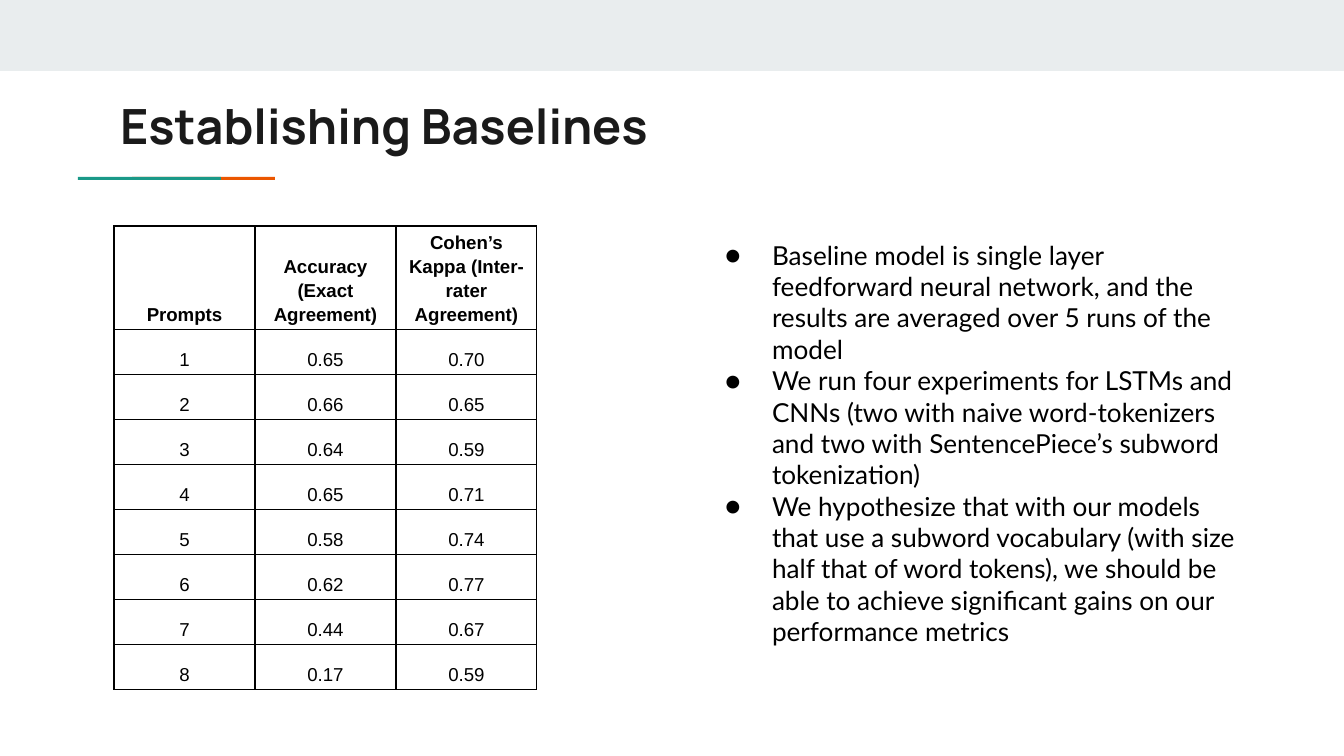
from lxml.etree import SubElement
from pptx import Presentation
from pptx.dml.color import RGBColor
from pptx.enum.shapes import MSO_SHAPE as SHAPE
from pptx.enum.text import MSO_ANCHOR as ANCHOR, MSO_AUTO_SIZE as FIT, PP_ALIGN as ALIGN
from pptx.oxml.ns import qn
from pptx.util import Pt

SCALE = 914400 / 134.4

BLACK = RGBColor(0x00, 0x00, 0x00)
INK = RGBColor(0x1A, 0x1A, 0x1A)
BAND = RGBColor(0xE9, 0xED, 0xEE)
TEAL = RGBColor(0x1A, 0x99, 0x88)
ORANGE = RGBColor(0xEB, 0x56, 0x00)

HEADERS = ("Prompts", "Accuracy (Exact Agreement)", "Cohen’s Kappa (Inter-rater Agreement)")
SCORES = (
    ("0.65", "0.70"),
    ("0.66", "0.65"),
    ("0.64", "0.59"),
    ("0.65", "0.71"),
    ("0.58", "0.74"),
    ("0.62", "0.77"),
    ("0.44", "0.67"),
    ("0.17", "0.59"),
)
BULLETS = (
    "Baseline model is single layer feedforward neural network, and the results "
    "are averaged over 5 runs of the model",
    "We run four experiments for LSTMs and CNNs (two with naive word-tokenizers "
    "and two with SentencePiece’s subword tokenization)",
    "We hypothesize that with our models that use a subword vocabulary (with size "
    "half that of word tokens), we should be able to achieve significant gains on "
    "our performance metrics",
)


def px(n):
    return round(n * SCALE)


TITLE_FONT = {"name": "Manrope", "size": Pt(26), "bold": True}
BODY_FONT = {"name": "Lato", "size": Pt(14), "bold": False}
CELL_FONT = {"name": "Arial", "size": Pt(10)}
TEXT_PARA = {"alignment": ALIGN.LEFT, "space_before": Pt(0), "line_spacing": 1.0}
CELL_PARA = {"alignment": ALIGN.CENTER, "line_spacing": 1.15}
SIDES = ("margin_left", "margin_top", "margin_right", "margin_bottom")
FRAME = {"word_wrap": True, "auto_size": FIT.NONE, "vertical_anchor": ANCHOR.TOP,
         **dict.fromkeys(SIDES, px(13))}
CELL = {"vertical_anchor": ANCHOR.BOTTOM, **dict.fromkeys(SIDES, px(4))}


def apply(obj, fmt):
    for key, value in fmt.items():
        setattr(obj, key, value)


def place(sp, *box):
    apply(sp, dict(zip(("left", "top", "width", "height"), map(px, box))))


def write(p, text, font, color, para):
    apply(p, para)
    r = p.add_run()
    r.text = text
    apply(r.font, font)
    r.font.color.rgb = color


def add_bar(slide, color, *box):
    sp = slide.shapes.add_shape(SHAPE.RECTANGLE, *map(px, box))
    sp.shadow.inherit = False
    sp.fill.solid()
    sp.fill.fore_color.rgb = color
    sp.line.fill.background()


def add_bullet(p):
    pPr = p._p.get_or_add_pPr()
    pPr.set("marL", str(px(67)))
    pPr.set("indent", str(px(-47)))
    clr = SubElement(pPr, qn("a:buClr"))
    SubElement(clr, qn("a:srgbClr"), val=str(BLACK))
    SubElement(pPr, qn("a:buFont"), typeface="Lato")
    SubElement(pPr, qn("a:buChar"), char="●")


def add_borders(cell):
    tcPr = cell._tc.get_or_add_tcPr()
    for i, side in enumerate(("lnL", "lnR", "lnT", "lnB")):
        ln = SubElement(tcPr, qn(f"a:{side}"), w=str(Pt(0.75)))
        fill = SubElement(ln, qn("a:solidFill"))
        SubElement(fill, qn("a:srgbClr"), val=str(BLACK))
        tcPr.insert(i, ln)


def fill_title(slide, text):
    sp = slide.shapes.title
    place(sp, 107, 83, 1130, 79)
    apply(sp.text_frame, FRAME)
    write(sp.text_frame.paragraphs[0], text, TITLE_FONT, INK, TEXT_PARA)


def fill_body(slide, items):
    sp = slide.placeholders[1]
    place(sp, 692, 226, 568, 443)
    tf = sp.text_frame
    apply(tf, FRAME)
    for i, text in enumerate(items):
        p = tf.add_paragraph() if i else tf.paragraphs[0]
        add_bullet(p)
        write(p, text, BODY_FONT, BLACK, TEXT_PARA)


def add_score_table(slide):
    rows = [HEADERS] + [(str(n), *pair) for n, pair in enumerate(SCORES, 1)]
    col_w, row_h = 141, 45
    box = (114, 226, col_w * len(HEADERS), row_h * len(rows))
    table = slide.shapes.add_table(len(rows), len(HEADERS), *map(px, box)).table
    apply(table, {"first_row": False, "horz_banding": False})
    for i, row in enumerate(rows):
        for j, text in enumerate(row):
            cell = table.cell(i, j)
            apply(cell, CELL)
            cell.fill.background()
            add_borders(cell)
            font = {**CELL_FONT, "bold": i == 0}
            write(cell.text_frame.paragraphs[0], text, font, BLACK, CELL_PARA)


def main():
    prs = Presentation()
    apply(prs, {"slide_width": px(1344), "slide_height": px(756)})
    slide = prs.slides.add_slide(prs.slide_layouts[1])
    add_bar(slide, BAND, 0, 0, 1344, 71)
    add_bar(slide, ORANGE, 132, 177, 143, 3)
    add_bar(slide, TEAL, 78, 177, 143, 3)
    fill_title(slide, "Establishing Baselines")
    add_score_table(slide)
    fill_body(slide, BULLETS)
    prs.save("out.pptx")


if __name__ == "__main__":
    main()
